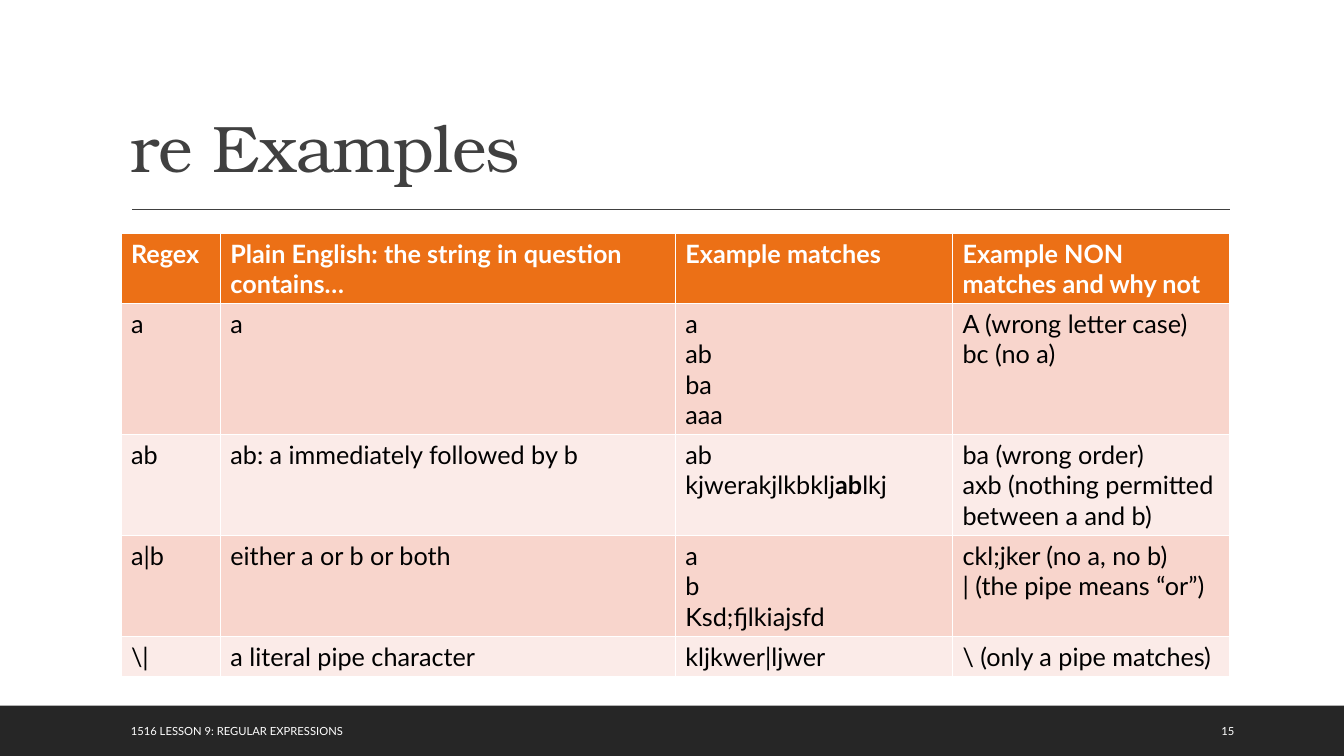
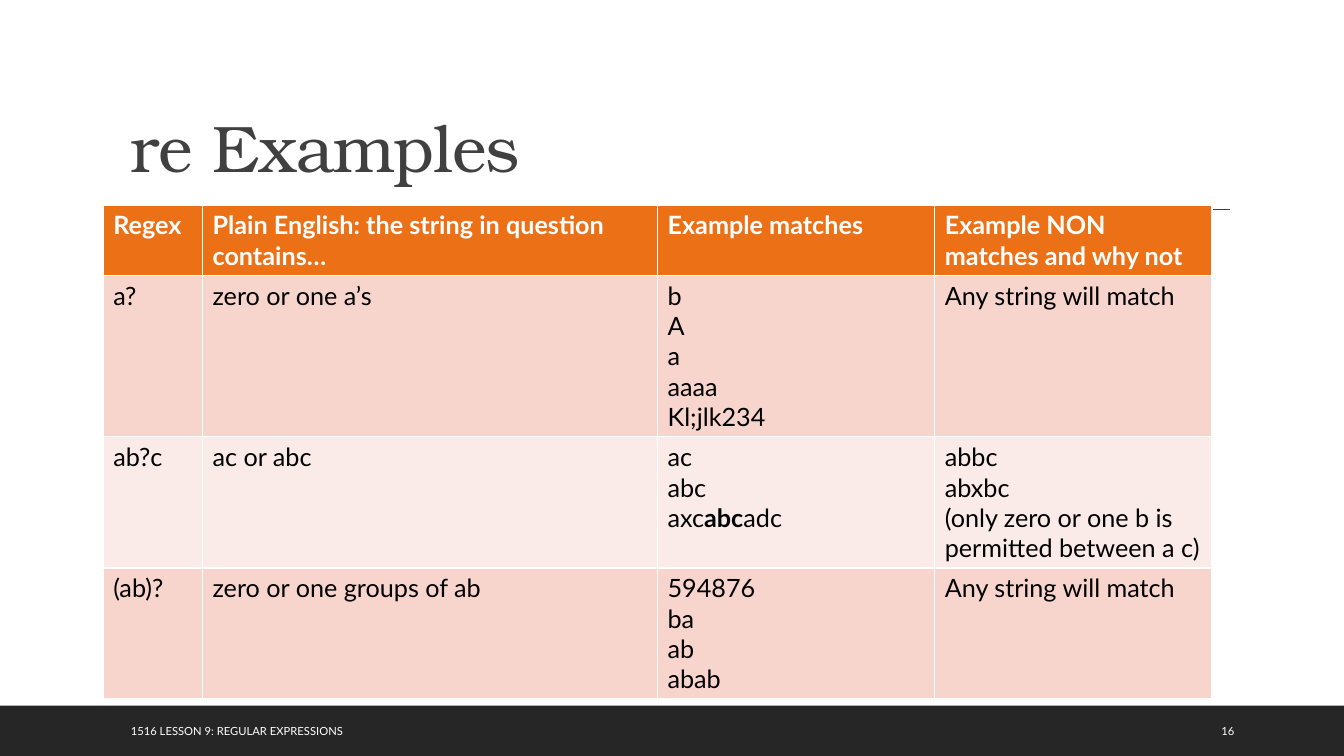
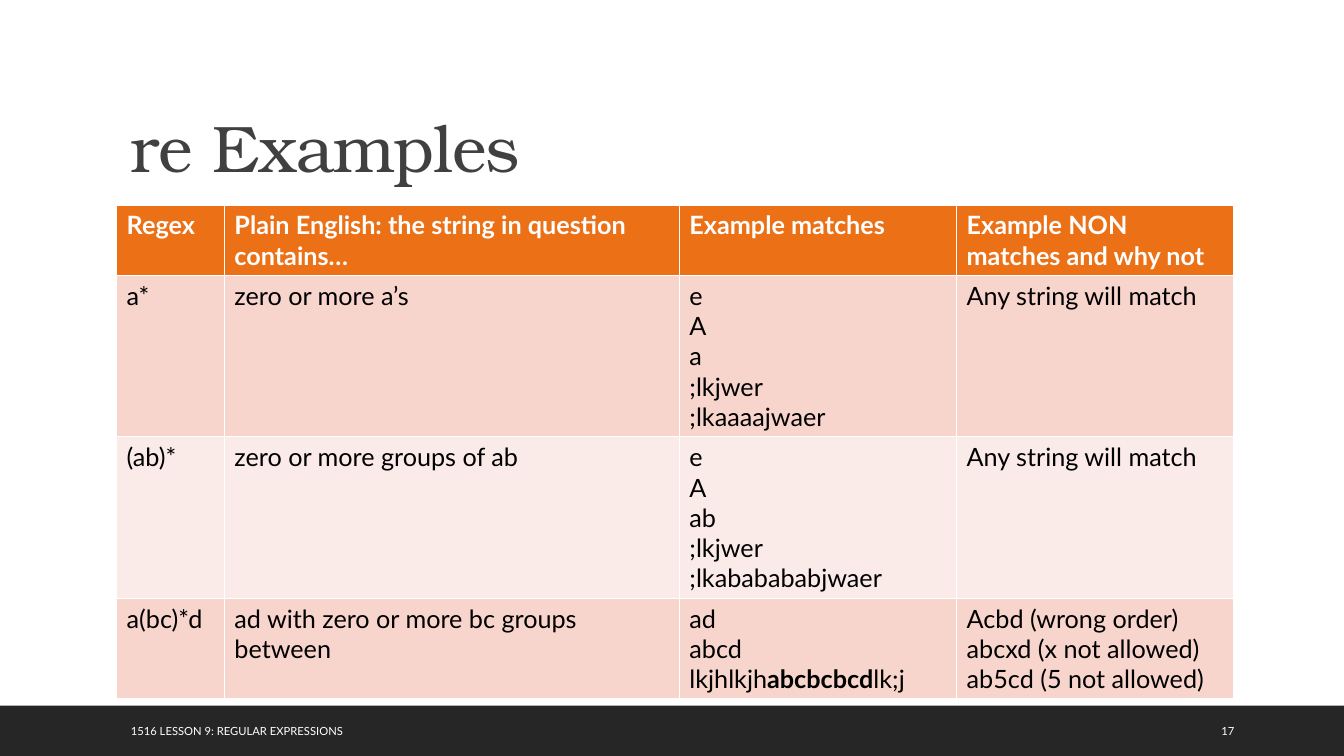
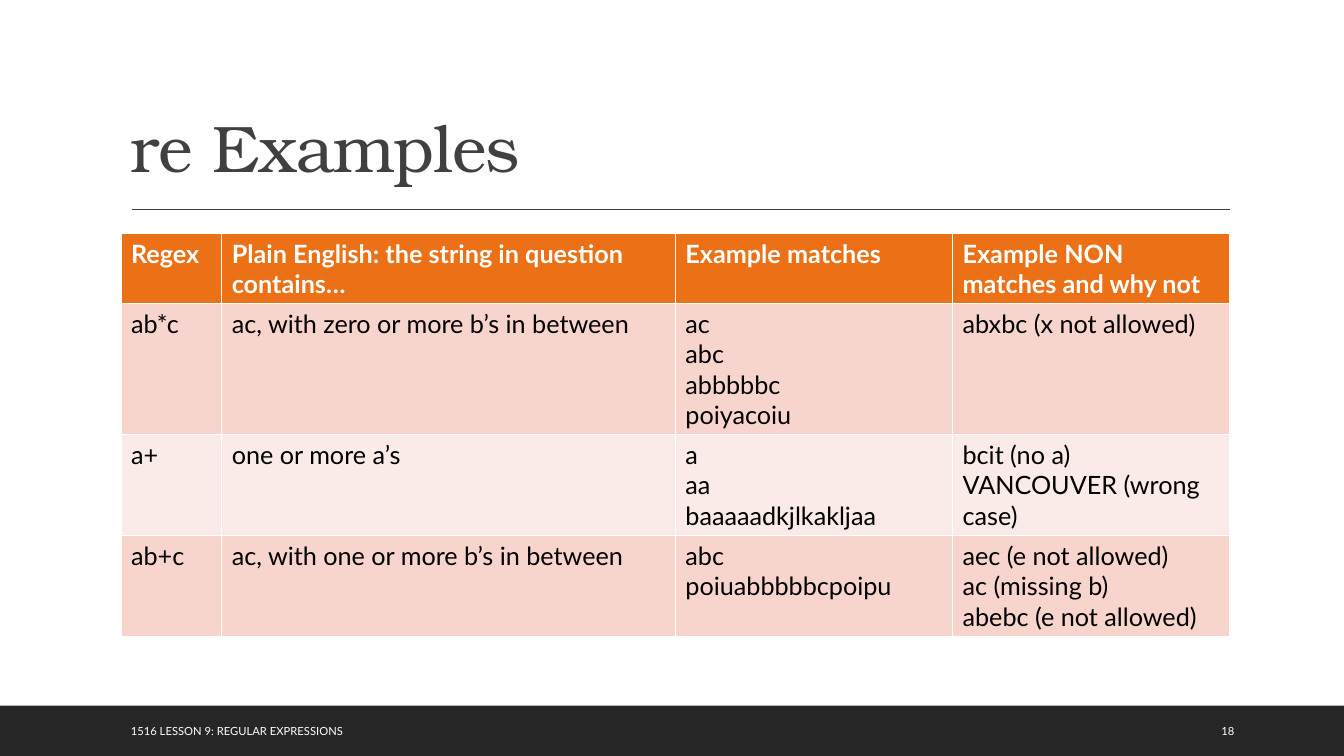
from pptx import Presentation
from pptx.dml.color import RGBColor
from pptx.enum.shapes import MSO_CONNECTOR, MSO_SHAPE
from pptx.enum.text import MSO_ANCHOR
from pptx.oxml.ns import qn
from pptx.util import Pt
from lxml import etree

STRAIGHT = MSO_CONNECTOR.STRAIGHT
RECTANGLE = MSO_SHAPE.RECTANGLE
MIDDLE, BOTTOM = MSO_ANCHOR.MIDDLE, MSO_ANCHOR.BOTTOM

WHITE = RGBColor(0xFF, 0xFF, 0xFF)
BLACK = RGBColor(0, 0, 0)
BAND = RGBColor(0x26, 0x26, 0x26)
TITLE = RGBColor(0x40, 0x40, 0x40)
HEADER = RGBColor(0xEC, 0x70, 0x16)
ROW_FILLS = (RGBColor(0xF8, 0xD5, 0xCC), RGBColor(0xFB, 0xEB, 0xE8))

BODY_FONT = "Lato"
TITLE_FONT = "TeX Gyre Bonum"
SLIDE_W, SLIDE_H = 960, 540
LEFT = 86.4
LINE_H, CELL_PAD = 21.6, 7.2
BOLD_MARK = "~"

FOOTER = "1516 LESSON 9: REGULAR EXPRESSIONS"
HEADINGS = ("Regex", "Plain English: the string in question contains…",
            "Example matches", "Example NON matches and why not")

# Each table: left, top, column widths, rows.
# Each row: number of text lines, then its cells; ~ encloses bold text.
WIDTHS = (71, 325, 198, 198)
TABLES = [
    (LEFT, 166.5, WIDTHS, [
        (4, "a", "a", "a\nab\nba\naaa", "A (wrong letter case)\nbc (no a)"),
        (3, "ab", "ab: a immediately followed by b", "ab\nkjwerakjlkbklj~ab~lkj",
         "ba (wrong order)\naxb (nothing permitted between a and b)"),
        (3, "a|b", "either a or b or both", "a\nb\nKsd;fjlkiajsfd",
         "ckl;jker (no a, no b)\n| (the pipe means “or”)"),
        (1, "\\|", "a literal pipe character", "kljkwer|ljwer",
         "\\ (only a pipe matches)"),
    ]),
    (73.7, 146.4, WIDTHS, [
        (5, "a?", "zero or one a’s", "b\nA\na\naaaa\nKl;jlk234",
         "Any string will match"),
        (4, "ab?c", "ac or abc", "ac\nabc\naxc~abc~adc",
         "abbc\nabxbc\n(only zero or one b is permitted between a c)"),
        (4, "(ab)?", "zero or one groups of ab", "594876\nba\nab\nabab",
         "Any string will match"),
    ]),
    (83.3, 146.4, (77, 325, 198, 198), [
        (5, "a*", "zero or more a’s", "e\nA\na\n;lkjwer\n;lkaaaajwaer",
         "Any string will match"),
        (5, "(ab)*", "zero or more groups of ab",
         "e\nA\nab\n;lkjwer\n;lkababababjwaer", "Any string will match"),
        (3, "a(bc)*d", "ad with zero or more bc groups between",
         "ad\nabcd\nlkjhlkjh~abcbcbcd~lk;j",
         "Acbd (wrong order)\nabcxd (x not allowed)\nab5cd (5 not allowed)"),
    ]),
    (LEFT, 166.5, (72, 324, 198, 198), [
        (4, "ab*c", "ac, with zero or more b’s in between",
         "ac\nabc\nabbbbbc\npoiyacoiu", "abxbc (x not allowed)"),
        (3, "a+", "one or more a’s", "a\naa\nbaaaaadkjlkakljaa",
         "bcit (no a)\nVANCOUVER (wrong case)"),
        (3, "ab+c", "ac, with one or more b’s in between",
         "abc\npoiuabbbbbcpoipu",
         "aec (e not allowed)\nac (missing b)\nabebc (e not allowed)"),
    ]),
]


def style_font(font, size, color, name=BODY_FONT, bold=False):
    font.name, font.size, font.bold = name, Pt(size), bold
    font.color.rgb = color


def add_label(slide, box, text, size, color, name=BODY_FONT, anchor=MIDDLE):
    """Add a one-paragraph text box and return its paragraph."""
    tf = slide.shapes.add_textbox(*map(Pt, box)).text_frame
    tf.word_wrap = True
    tf.vertical_anchor = anchor
    p = tf.paragraphs[0]
    p.text = text
    style_font(p.font, size, color, name)
    return p


def add_title(slide, text, left, top, width, height):
    """Add the title, with the rule below it."""
    p = add_label(slide, (left, top, width, height), text, 47, TITLE,
                  TITLE_FONT, BOTTOM)
    p.line_spacing = 0.9
    p.runs[0]._r.get_or_add_rPr().set("spc", "-50")
    rule_y = top + height + 13
    rule = slide.shapes.add_connector(STRAIGHT, Pt(left + 8), Pt(rule_y),
                                      Pt(left + width), Pt(rule_y))
    rule.line.color.rgb = TITLE
    rule.line.width = Pt(1)
    etree.SubElement(rule._element.spPr, qn("a:effectLst"))


def add_footer(slide, number, top, height):
    sp = slide.shapes.add_shape(RECTANGLE, 0, Pt(top), Pt(SLIDE_W), Pt(height))
    sp.shadow.inherit = False
    sp.fill.solid()
    sp.fill.fore_color.rgb = BAND
    sp.line.fill.background()
    for left, width, text in ((LEFT, 537, FOOTER), (865.4, 61, str(number))):
        add_label(slide, (left, top + 3.6, width, 28.8), text, 8, WHITE)


def fill_cell(cell, text, fill, color, bold):
    cell.fill.solid()
    cell.fill.fore_color.rgb = fill
    tf = cell.text_frame
    for i, line in enumerate(text.split("\n")):
        p = tf.add_paragraph() if i else tf.paragraphs[0]
        style_font(p.font, 18, color, bold=bold)
        for j, part in enumerate(line.split(BOLD_MARK)):
            r = p.add_run()
            r.text = part
            style_font(r.font, 18, color, bold=bold or j % 2 == 1)


def add_regex_table(slide, left, top, widths, rows):
    rows = [(2, *HEADINGS), *rows]
    heights = [CELL_PAD + LINE_H * row[0] for row in rows]
    table = slide.shapes.add_table(len(rows), len(widths), Pt(left), Pt(top),
                                   Pt(sum(widths)), Pt(sum(heights))).table
    for column, width in zip(table.columns, widths):
        column.width = Pt(width)
    for i, (row, height) in enumerate(zip(rows, heights)):
        table.rows[i].height = Pt(height)
        fill = ROW_FILLS[(i - 1) % 2] if i else HEADER
        for j, text in enumerate(row[1:]):
            fill_cell(table.cell(i, j), text, fill,
                      BLACK if i else WHITE, bold=i == 0)


def main():
    prs = Presentation()
    prs.slide_width, prs.slide_height = Pt(SLIDE_W), Pt(SLIDE_H)
    for number, table in enumerate(TABLES, start=15):
        slide = prs.slides.add_slide(prs.slide_layouts[6])
        add_title(slide, "re Examples", LEFT, 22.5, 792, 114.3)
        add_regex_table(slide, *table)
        add_footer(slide, number, 504, 36)
    prs.save("out.pptx")


if __name__ == "__main__":
    main()
